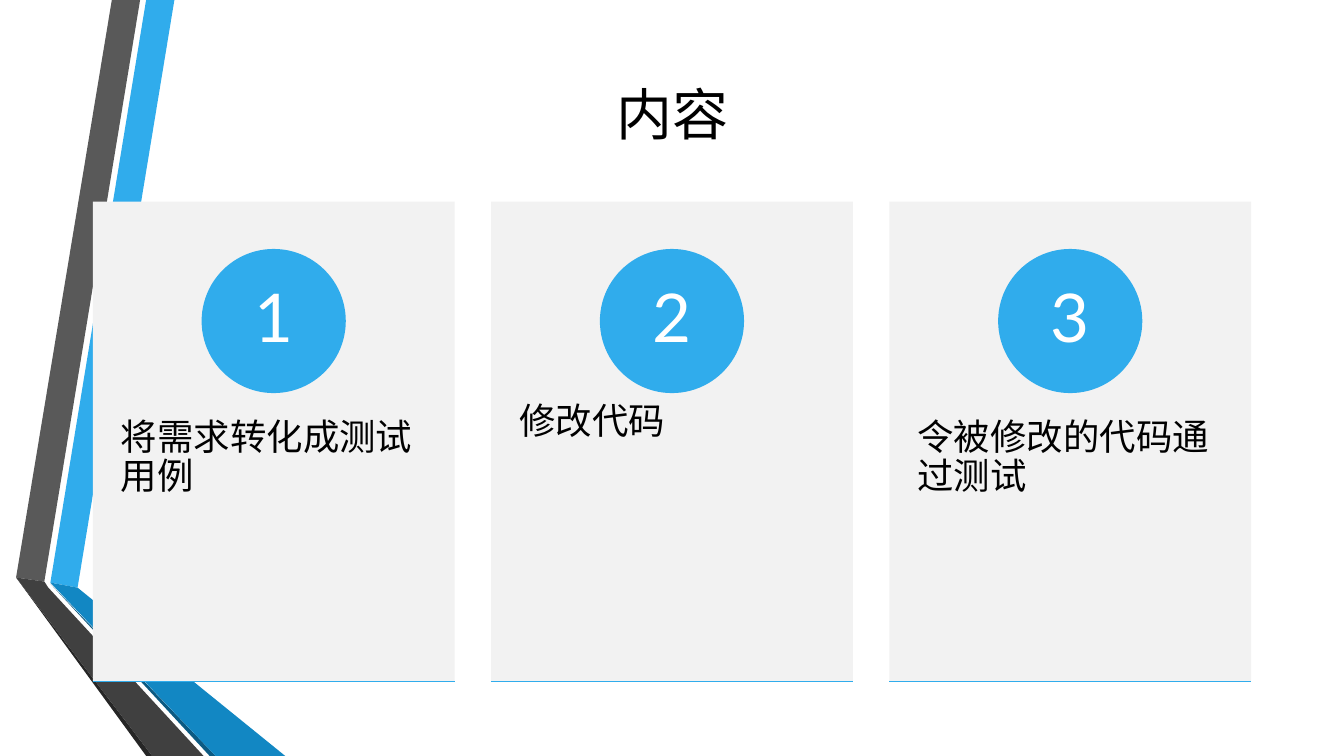
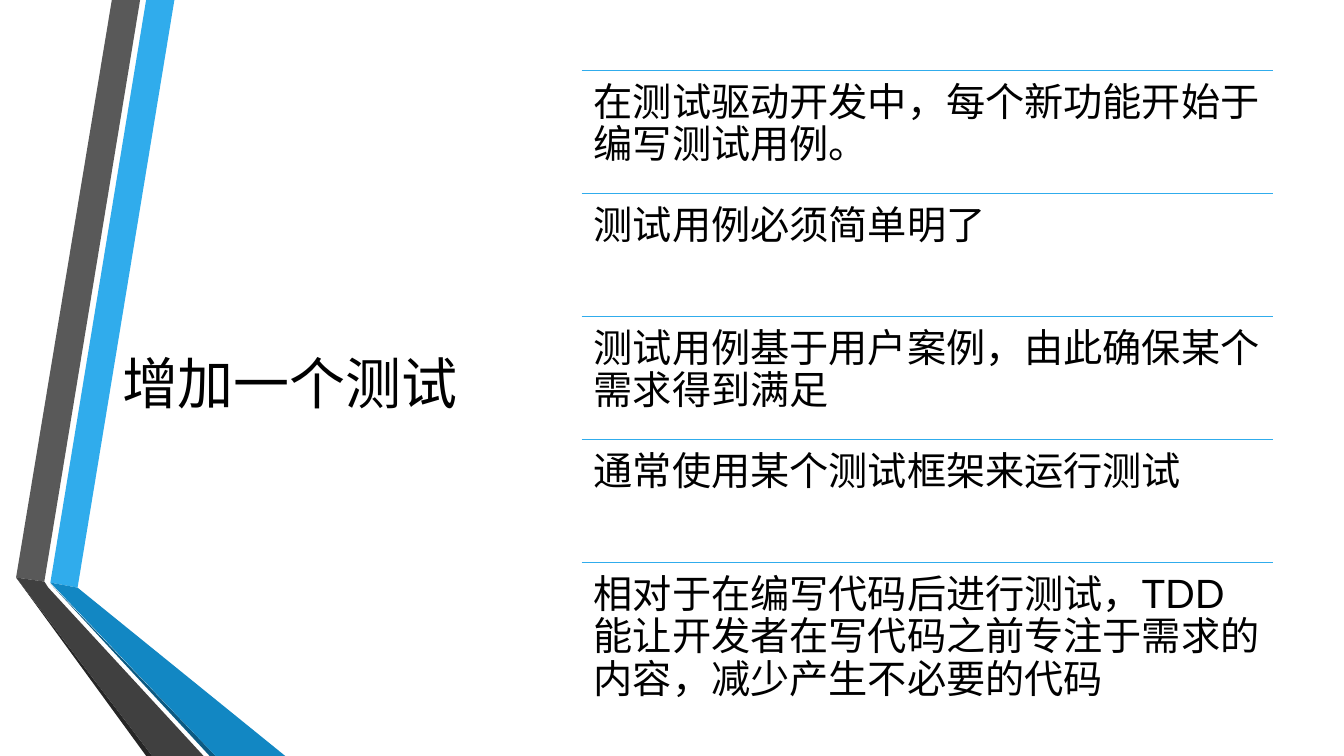
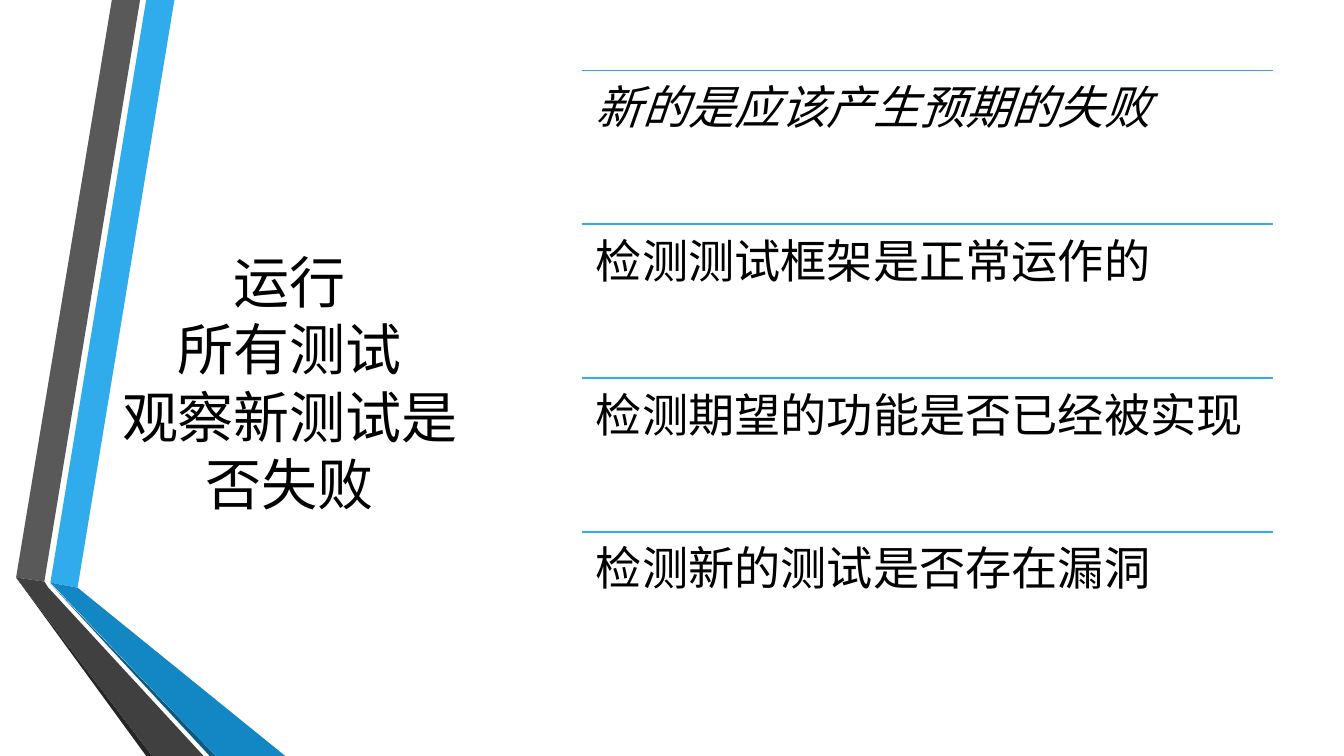
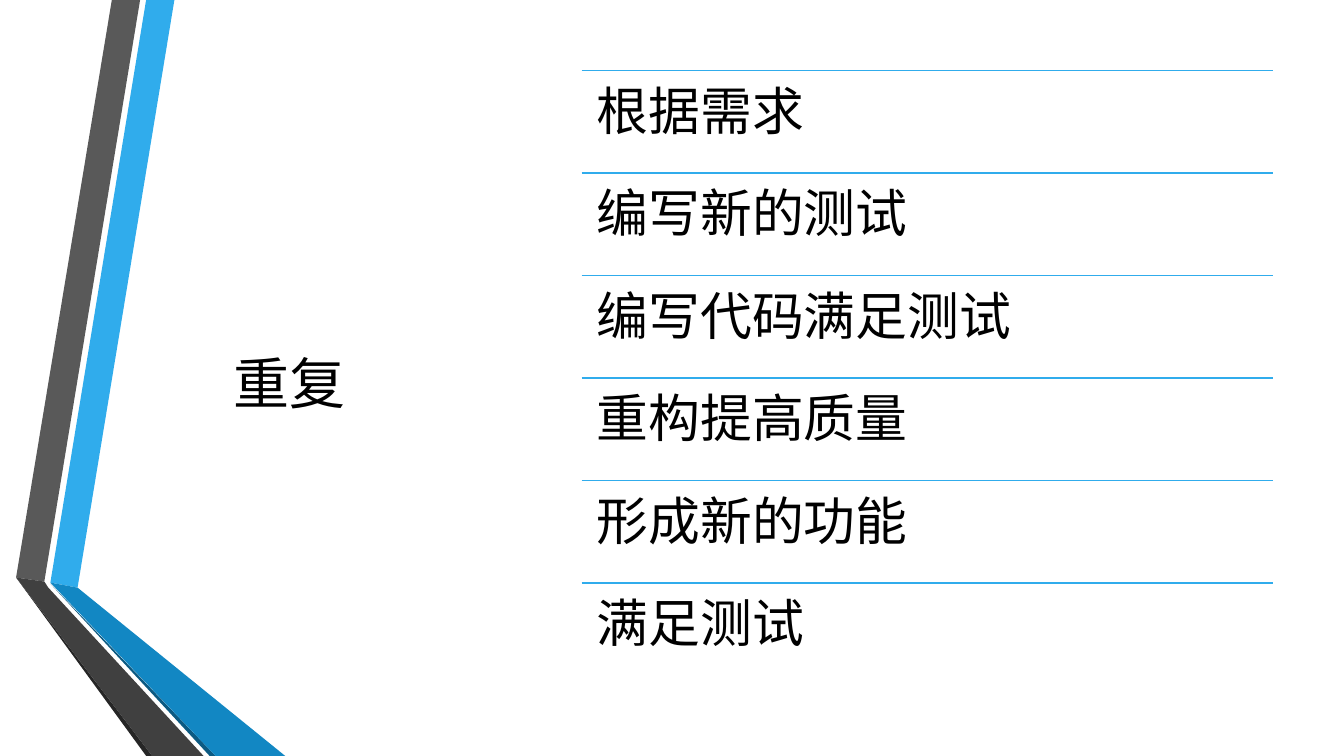
"""Build a four-slide deck on test-driven development."""
from dataclasses import dataclass

from lxml import etree
from pptx import Presentation
from pptx.dml.color import RGBColor
from pptx.enum.shapes import MSO_CONNECTOR, MSO_SHAPE
from pptx.enum.text import MSO_ANCHOR, PP_ALIGN
from pptx.oxml.ns import qn
from pptx.shapes.autoshape import Shape
from pptx.slide import Slide
from pptx.text.text import TextFrame
from pptx.util import Inches, Pt

RECT, OVAL = MSO_SHAPE.RECTANGLE, MSO_SHAPE.OVAL
STRAIGHT = MSO_CONNECTOR.STRAIGHT
TOP, MIDDLE = MSO_ANCHOR.TOP, MSO_ANCHOR.MIDDLE
LEFT, CENTER = PP_ALIGN.LEFT, PP_ALIGN.CENTER


@dataclass(frozen=True)
class Theme:
    """Colours, font and type sizes of the deck."""
    accent: str = "30ACEC"
    accent_dark: str = "1287C3"
    accent_deep: str = "0C5A82"
    gray: str = "595959"
    gray_dark: str = "404040"
    gray_deep: str = "262626"
    card: str = "F2F2F2"
    text: str = "000000"
    white: str = "FFFFFF"
    font: str = "Lato"
    title_size: float = 40
    card_size: float = 26
    number_size: float = 48
    line_width: float = 1.25
    tight: float = 0.9


T = Theme()


@dataclass(frozen=True)
class Box:
    """A rectangle in inches."""
    left: float
    top: float
    width: float
    height: float

    def emu(self) -> tuple:
        """Return the four lengths for python-pptx."""
        return tuple(map(Inches, (self.left, self.top, self.width, self.height)))


@dataclass(frozen=True)
class TextStyle:
    """How the text of one frame looks; insets are in inches."""
    size: float
    color: str = T.text
    align: PP_ALIGN = LEFT
    anchor: MSO_ANCHOR = TOP
    spacing: float = T.tight
    inset_x: float = 0.1
    inset_y: float = 0.05
    italic: bool = False


@dataclass(frozen=True)
class Ribbon:
    """One filled polygon of the side band."""
    color: str
    points: tuple


@dataclass(frozen=True)
class ListSlide:
    """A title on the left and ruled rows on the right."""
    title: str
    rows: tuple
    size: float
    inset: float
    italic_rows: tuple = ()


RIBBONS = (
    Ribbon(T.accent, ((0.5, 5.78), (0.77, 5.83), (1.73, 0), (1.45, 0))),
    Ribbon(T.gray, ((1.39, 0), (1.11, 0), (0.16, 5.73), (0.44, 5.77))),
    Ribbon(T.gray_deep, ((0.16, 5.73), (1.45, 7.5), (1.51, 7.5))),
    Ribbon(T.accent_deep, ((0.5, 5.79), (2.08, 7.5), (2.14, 7.5))),
    Ribbon(T.accent_dark, ((0.5, 5.78), (2.14, 7.5), (2.83, 7.5), (0.77, 5.83))),
    Ribbon(T.gray_dark, ((2.02, 7.5), (0.48, 5.83), (0.44, 5.77), (0.16, 5.73),
                         (1.51, 7.5))),
)

TITLE = TextStyle(T.title_size, align=CENTER, anchor=MIDDLE, spacing=1.0)
CARD_TEXT = TextStyle(T.card_size, inset_x=0.28, inset_y=0.36)
NUMBER = TextStyle(T.number_size, T.white, CENTER, MIDDLE, inset_y=0.01)

TOP_TITLE = Box(0.92, 0.4, 11.5, 1.45)
SIDE_TITLE = Box(1.03, 0.78, 3.69, 6.02)
ROWS = Box(5.77, 0.7, 6.86, 6.1)
FIRST_CARD = Box(0.92, 2, 3.59, 4.76)
CARD_PITCH = 3.95
CIRCLE = 1.43
CIRCLE_TOP = 2.47
CARD_TEXT_TOP, CARD_TEXT_HEIGHT = 3.8, 2.86

CARDS = ("将需求转化成测试用例", "修改代码", "令被修改的代码通过测试")
LISTS = (
    ListSlide("增加一个测试", (
        "在测试驱动开发中，每个新功能开始于编写测试用例。",
        "测试用例必须简单明了",
        "测试用例基于用户案例，由此确保某个需求得到满足",
        "通常使用某个测试框架来运行测试",
        "相对于在编写代码后进行测试，TDD能让开发者在写代码之前专注于需求的内容，"
        "减少产生不必要的代码",
    ), 28, 0.12),
    ListSlide("运行\v所有测试\v观察新测试是否失败", (
        "新的是应该产生预期的失败",
        "检测测试框架是正常运作的",
        "检测期望的功能是否已经被实现",
        "检测新的测试是否存在漏洞",
    ), 33, 0.14, italic_rows=(0,)),
    ListSlide("重复", (
        "根据需求", "编写新的测试", "编写代码满足测试",
        "重构提高质量", "形成新的功能", "满足测试",
    ), 37, 0.15),
)


def set_all(target: object, values: dict) -> None:
    """Set each named attribute on the target."""
    for name, value in values.items():
        setattr(target, name, value)


def write(tf: TextFrame, text: str, style: TextStyle) -> None:
    """Fill a text frame with one styled paragraph."""
    x, y = Inches(style.inset_x), Inches(style.inset_y)
    set_all(tf, {"word_wrap": True, "vertical_anchor": style.anchor,
                 "margin_left": x, "margin_right": x,
                 "margin_top": y, "margin_bottom": y})
    p = tf.paragraphs[0]
    p.text = text
    set_all(p, {"alignment": style.align, "line_spacing": style.spacing})
    for r in p.runs:
        set_all(r.font, {"name": T.font, "size": Pt(style.size),
                         "italic": style.italic})
        r.font.color.rgb = RGBColor.from_string(style.color)


def add_text(s: Slide, box: Box, text: str, style: TextStyle) -> None:
    """Add a text box."""
    write(s.shapes.add_textbox(*box.emu()).text_frame, text, style)


def paint(sp: Shape, color: str) -> None:
    """Give a shape a flat fill without line or shadow."""
    sp.shadow.inherit = False
    sp.fill.solid()
    sp.fill.fore_color.rgb = RGBColor.from_string(color)
    sp.line.fill.background()


def add_shape(s: Slide, kind: MSO_SHAPE, box: Box, color: str) -> Shape:
    """Add a flat preset shape."""
    sp = s.shapes.add_shape(kind, *box.emu())
    paint(sp, color)
    return sp


def add_rule(s: Slide, left: float, top: float, width: float) -> None:
    """Add a horizontal accent line."""
    x, y = Inches(left), Inches(top)
    line = s.shapes.add_connector(STRAIGHT, x, y, x + Inches(width), y)
    line.line.color.rgb = RGBColor.from_string(T.accent)
    line.line.width = Pt(T.line_width)
    etree.SubElement(line._element.spPr, qn("a:effectLst"))


def new_slide(prs: Presentation, title: str, box: Box) -> Slide:
    """Add a blank slide with the side band and a title."""
    s = prs.slides.add_slide(prs.slide_layouts[6])
    for ribbon in RIBBONS:
        start, *rest = [(Inches(x), Inches(y)) for x, y in ribbon.points]
        outline = s.shapes.build_freeform(*start)
        outline.add_line_segments(rest, close=True)
        paint(outline.convert_to_shape(), ribbon.color)
    add_text(s, box, title, TITLE)
    return s


def add_card(s: Slide, index: int, text: str) -> None:
    """Add one numbered card of the contents slide."""
    width, height = FIRST_CARD.width, FIRST_CARD.height
    left = FIRST_CARD.left + index * CARD_PITCH
    add_shape(s, RECT, Box(left, FIRST_CARD.top, width, height), T.card)
    add_text(s, Box(left, CARD_TEXT_TOP, width, CARD_TEXT_HEIGHT), text, CARD_TEXT)
    circle = Box(left + (width - CIRCLE) / 2, CIRCLE_TOP, CIRCLE, CIRCLE)
    sp = add_shape(s, OVAL, circle, T.accent)
    write(sp.text_frame, str(index + 1), NUMBER)
    add_rule(s, left, FIRST_CARD.top + height, width)


def add_rows(s: Slide, content: ListSlide) -> None:
    """Share the row area equally among the ruled rows."""
    height = ROWS.height / len(content.rows)
    for i, text in enumerate(content.rows):
        top = ROWS.top + i * height
        style = TextStyle(content.size, inset_x=content.inset,
                          inset_y=content.inset, italic=i in content.italic_rows)
        add_rule(s, ROWS.left, top, ROWS.width)
        add_text(s, Box(ROWS.left, top, ROWS.width, height), text, style)


def main() -> None:
    """Build and save the deck."""
    prs = Presentation()
    set_all(prs, {"slide_width": Inches(13.33), "slide_height": Inches(7.5)})
    contents = new_slide(prs, "内容", TOP_TITLE)
    for i, text in enumerate(CARDS):
        add_card(contents, i, text)
    for content in LISTS:
        add_rows(new_slide(prs, content.title, SIDE_TITLE), content)
    prs.save("out.pptx")


main()
